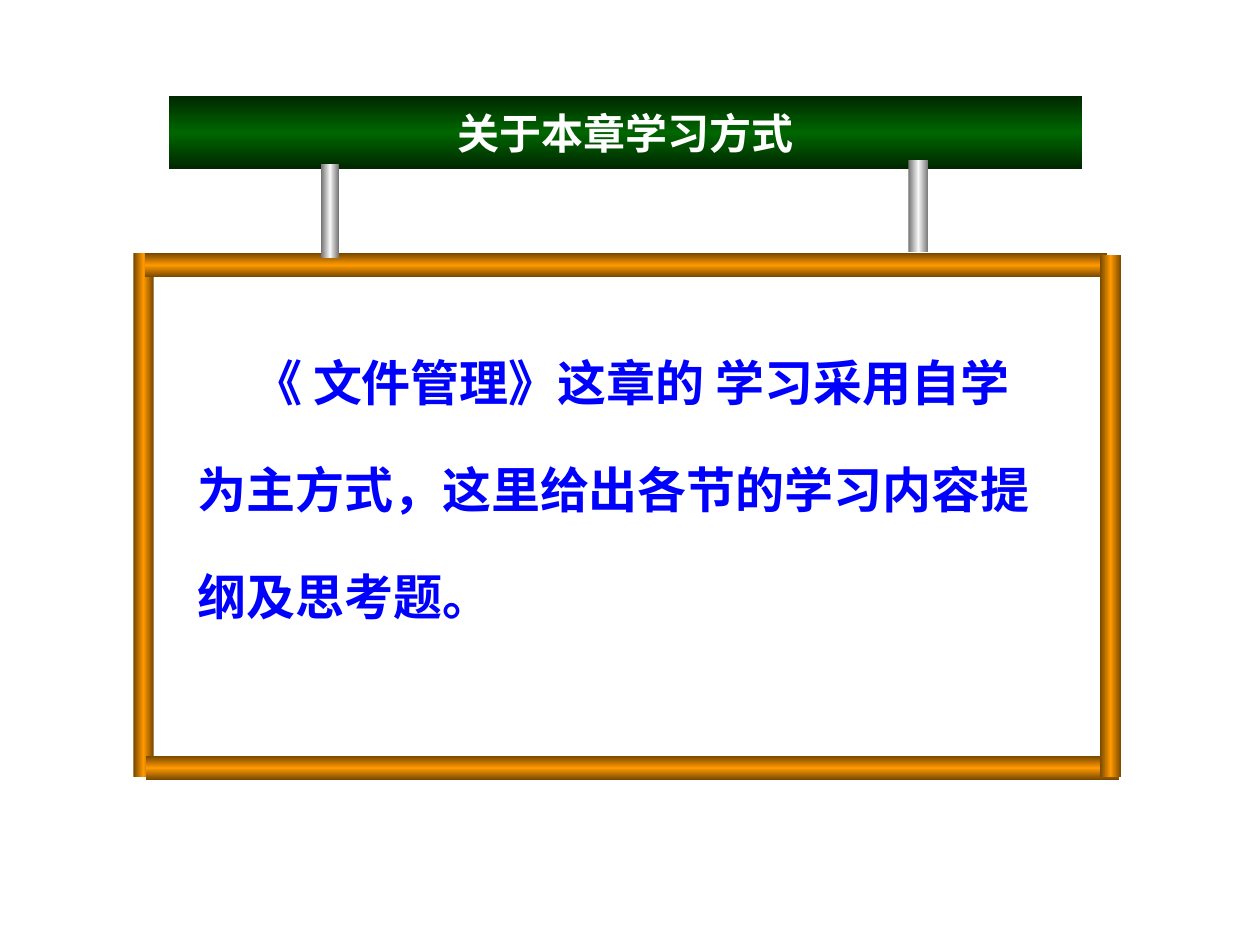
from copy import deepcopy

from pptx import Presentation
from pptx import util as u
from pptx.dml.color import RGBColor
from pptx.enum import shapes, text
from pptx.oxml import ns

COLORS = {
    "white": "FFFFFF", "blue": "0000FF",
    "green": "006600", "green edge": "002700",
    "orange": "FF9900", "orange edge": "764700",
    "silver": "F8F8F8", "silver edge": "737373",
}
FONT = "Times New Roman"
LINES = ["《 文件管理》这章的 学习采用自学", "为主方式，这里给出各节的学习内容提", "纲及思考题。"]


def color(name):
    """Return the named colour."""
    return RGBColor.from_string(COLORS[name])


def add_box(slide, left, top, width, height):
    """Add a plain rectangle without line or shadow, measured in inches."""
    shape = slide.shapes.add_shape(
        shapes.MSO_SHAPE.RECTANGLE, *map(u.Inches, (left, top, width, height)))
    shape.shadow.inherit = False
    shape.line.fill.background()
    return shape


def add_bar(slide, box, name, angle):
    """Add a bar that is bright along its middle and dark at both edges."""
    shape = add_box(slide, *box)
    shape.fill.gradient()
    shape.fill.gradient_angle = angle
    for stop in shape.fill.gradient_stops:
        stop.color.rgb = color(name + " edge")
    stop_list = shape.element.spPr.find(".//" + ns.qn("a:gsLst"))
    middle = deepcopy(stop_list[0])
    stop_list.insert(1, middle)
    middle.set("pos", "50000")
    shape.fill.gradient_stops[1].color.rgb = color(name)
    return shape


def style(paragraph, size, name):
    """Set the bold font of a paragraph."""
    font = paragraph.font
    font.name, font.size, font.bold = FONT, u.Pt(size), True
    font.color.rgb = color(name)


def add_title(slide, box):
    """Add the green title bar."""
    frame = add_bar(slide, box, "green", 90).text_frame
    frame.vertical_anchor = text.MSO_ANCHOR.MIDDLE
    paragraph = frame.paragraphs[0]
    paragraph.text = "关于本章学习方式"
    paragraph.alignment = text.PP_ALIGN.CENTER
    style(paragraph, 24, "white")


def add_body(slide, box):
    """Add the white panel with its lines of text."""
    shape = add_box(slide, *box)
    shape.fill.solid()
    shape.fill.fore_color.rgb = color("white")
    frame = shape.text_frame
    frame.word_wrap = True
    frame.vertical_anchor = text.MSO_ANCHOR.TOP
    frame.margin_top = u.Inches(0.51)
    for index, line in enumerate(LINES):
        paragraph = frame.add_paragraph() if index else frame.paragraphs[0]
        paragraph.text = line
        paragraph.alignment = text.PP_ALIGN.LEFT
        paragraph.line_spacing = u.Pt(40.4)
        paragraph.space_before = u.Pt(21 if index else 0)
        properties = paragraph._p.get_or_add_pPr()
        properties.set("marL", str(u.Inches(0.26 if index else 0.7)))
        style(paragraph, 28, "blue")


def add_board(slide, box):
    """Add the panel and the four orange rails around it."""
    left, top, width, height = box
    rail = 0.19
    add_body(slide, (left + 0.15, top + 0.18, 7.51, 3.81))
    add_bar(slide, (left, top, 0.16, height - 0.02), "orange", 0)
    add_bar(slide, (left + 0.1, top + height - rail, 7.72, rail), "orange", 90)
    add_bar(slide, (left + 0.09, top, 7.64, rail), "orange", 90)
    add_bar(slide, (left + width - 0.17, top + 0.01, 0.17, height - 0.03), "orange", 0)


def main():
    """Build and save the slide."""
    presentation = Presentation()
    presentation.slide_width = u.Inches(10)
    presentation.slide_height = u.Inches(7.5)
    slide = presentation.slides.add_slide(presentation.slide_layouts[6])
    add_title(slide, (1.34, 0.76, 7.25, 0.58))
    add_board(slide, (1.06, 2.01, 7.84, 4.18))
    for hanger in ((2.55, 1.3, 0.14, 0.75), (7.21, 1.27, 0.16, 0.73)):
        add_bar(slide, hanger, "silver", 0)
    presentation.save("out.pptx")


if __name__ == "__main__":
    main()
